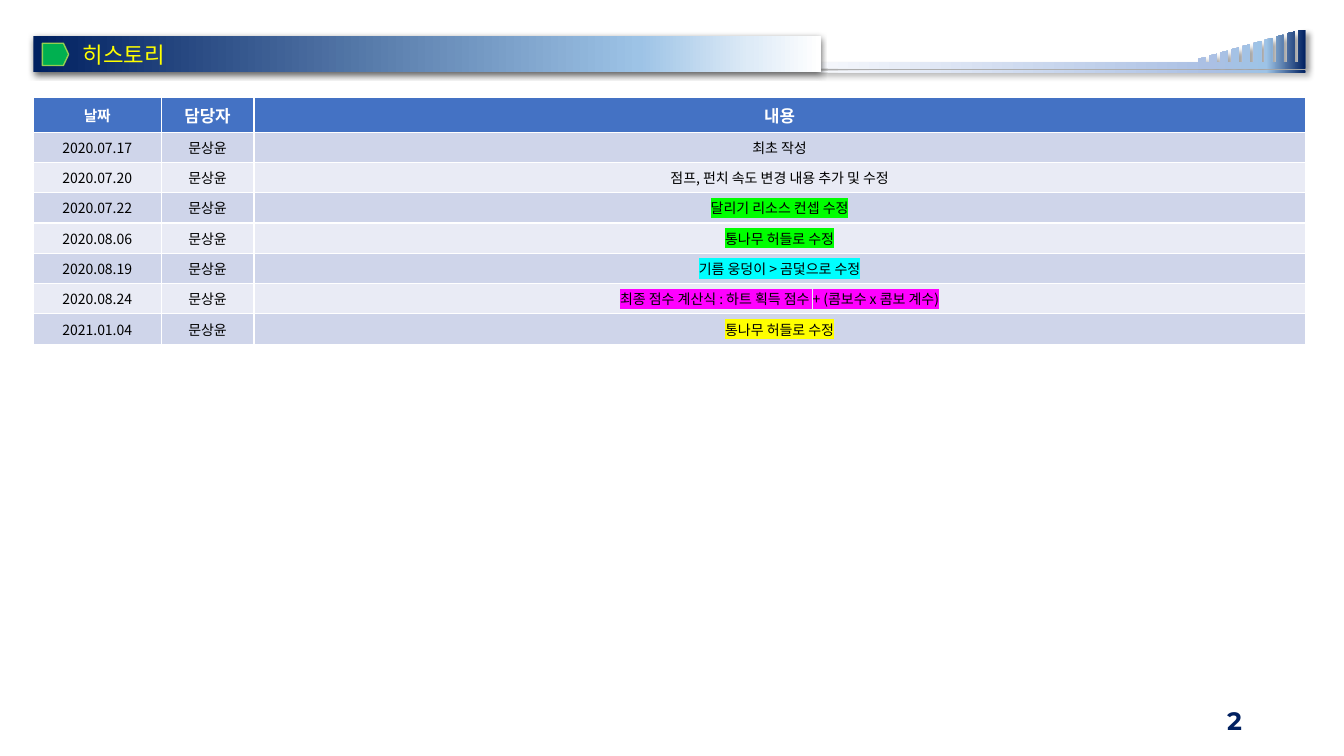
"""Build the history slide with its title banner and revision table."""
import pptx
import pptx.dml.color
import pptx.enum.shapes
import pptx.enum.text
import pptx.oxml
import pptx.oxml.ns
import pptx.util

Cm = pptx.util.Cm
qn = pptx.oxml.ns.qn
MIDDLE = pptx.enum.text.MSO_ANCHOR.MIDDLE
ALIGN = pptx.enum.text.PP_ALIGN
KOREAN = "Noto Sans CJK KR"
AUTHOR = "문상윤"
HEADINGS = [("날짜", 10.5), ("담당자", 12), ("내용", 12)]
COLUMN_WIDTHS = [3.22, 2.34, 26.49]
HISTORY = [
    ("2020.07.17", "최초 작성", None),
    ("2020.07.20", "점프, 펀치 속도 변경 내용 추가 및 수정", None),
    ("2020.07.22", "달리기 리소스 컨셉 수정", "00FF00"),
    ("2020.08.06", "통나무 허들로 수정", "00FF00"),
    ("2020.08.19", "기름 웅덩이 > 곰덫으로 수정", "00FFFF"),
    ("2020.08.24", "최종 점수 계산식 : 하트 획득 점수 + (콤보수 x 콤보 계수)", "FF00FF"),
    ("2021.01.04", "통나무 허들로 수정", "FFFF00"),
]


def rgb(value):
    """Turn a hex string into a colour."""
    return pptx.dml.color.RGBColor.from_string(value)


def add_xml(parent, xml):
    """Append a DrawingML fragment to an element."""
    ns = pptx.oxml.ns.nsdecls("a")
    parent.append(pptx.oxml.parse_xml(xml.replace(" ", f" {ns} ", 1)))


def write(tf, text, size, color, align, font=KOREAN, bold=False, highlight=None):
    """Write one formatted paragraph into a text frame."""
    tf.text = text
    p = tf.paragraphs[0]
    p.alignment = align
    r = p.runs[0]
    r.font.size = pptx.util.Pt(size)
    r.font.bold = bold
    r.font.color.rgb = rgb(color)
    rpr = r.font._element
    if highlight:
        add_xml(rpr, f'<a:highlight ><a:srgbClr val="{highlight}"/></a:highlight>')
    r.font.name = font
    add_xml(rpr, f'<a:ea typeface="{font}"/>')


def paint_gradient(sp, stops):
    """Fill a shape with a left-to-right gradient and remove its line."""
    sp.fill.gradient()
    sp.fill.gradient_angle = 0
    gs_list = next(sp._element.spPr.iter(qn("a:gsLst")))
    for gs in list(gs_list):
        gs_list.remove(gs)
    for position, color in stops:
        add_xml(gs_list, f'<a:gs pos="{position * 1000}"><a:srgbClr val="{color}"/></a:gs>')
    sp.line.fill.background()


def add_shadow(sp, alpha, blur, distance, angle):
    """Give a shape a black outer shadow, with lengths in points."""
    sp.shadow.inherit = False
    effects = sp._element.spPr.find(qn("a:effectLst"))
    add_xml(effects, f'<a:outerShdw blurRad="{pptx.util.Pt(blur)}" '
                     f'dist="{pptx.util.Pt(distance)}" dir="{angle * 60000}" '
                     f'algn="ctr" rotWithShape="0"><a:srgbClr val="000000">'
                     f'<a:alpha val="{alpha * 1000}"/></a:srgbClr></a:outerShdw>')


def add_rising_bars(slide):
    """Draw the thin rule and the strip with ten rising bars."""
    left, right, base = 20.6, 32.9, 1.57
    rule = [(left, 1.78), (right, 1.78), (right, 1.83), (left, 1.83)]
    strip = [(left, base)]
    for i in range(10):
        x, top = 30.2 + 0.28 * i, 1.48 - 0.08 * i
        strip += [(x, base), (x, top), (x + 0.18, max(top - 0.04, 0.76)), (x + 0.18, base)]
    strip += [(right, 1.73), (left, 1.73)]
    rule, strip = [[(Cm(x), Cm(y)) for x, y in outline] for outline in (rule, strip)]
    builder = slide.shapes.build_freeform(*rule[0])
    builder.add_line_segments(rule[1:])
    builder.move_to(*strip[0])
    builder.add_line_segments(strip[1:])
    sp = builder.convert_to_shape()
    paint_gradient(sp, [(0, "F6F8FC"), (80, "ABC0E4"), (92, "9DC3E6"), (100, "002060")])
    add_shadow(sp, 40, 4, 3, 45)


def format_title(slide, text):
    """Turn the title placeholder into the gradient banner."""
    sp = slide.shapes.title
    sp.left, sp.top, sp.width, sp.height = Cm(0.84), Cm(0.91), Cm(19.84), Cm(0.91)
    paint_gradient(sp, [(0, "002060"), (77, "9DC3E6"), (91, "DEEBF7"), (100, "FFFFFF")])
    add_shadow(sp, 63, 4.5, 1.5, 90)
    tf = sp.text_frame
    tf.auto_size = pptx.enum.text.MSO_AUTO_SIZE.NONE
    tf.vertical_anchor = MIDDLE
    tf.margin_left = Cm(1.24)
    write(tf, text, 16, "FFFF00", ALIGN.LEFT)
    slide.shapes._spTree.append(sp._element)


def add_marker(slide):
    """Add the green pentagon that points at the title."""
    kind = pptx.enum.shapes.MSO_SHAPE.FLOWCHART_OFFPAGE_CONNECTOR
    sp = slide.shapes.add_shape(kind, Cm(1.12), Cm(1.04), Cm(0.56), Cm(0.66))
    sp.rotation = 270
    sp.shadow.inherit = False
    sp.fill.solid()
    sp.fill.fore_color.rgb = rgb("00B050")
    sp.line.color.rgb = rgb("92D050")
    sp.line.width = pptx.util.Pt(1)


def fill_cell(cell, fill, text, size, color, **style):
    """Fill a table cell and centre its text."""
    cell.fill.solid()
    cell.fill.fore_color.rgb = rgb(fill)
    cell.vertical_anchor = MIDDLE
    write(cell.text_frame, text, size, color, ALIGN.CENTER, **style)


def add_history_table(slide):
    """Add the table of revisions."""
    heights = [0.87] + [0.76] * len(HISTORY)
    frame = slide.shapes.add_table(len(heights), len(HEADINGS), Cm(0.84), Cm(2.46),
                                   Cm(sum(COLUMN_WIDTHS)), Cm(sum(heights)))
    table = frame.table
    for column, width in zip(table.columns, COLUMN_WIDTHS):
        column.width = Cm(width)
    for row, height in zip(table.rows, heights):
        row.height = Cm(height)
    for j, (heading, size) in enumerate(HEADINGS):
        fill_cell(table.cell(0, j), "4472C4", heading, size, "FFFFFF", bold=True)
    for i, (date, change, highlight) in enumerate(HISTORY, 1):
        fill = "CFD5EA" if i % 2 else "E9EBF5"
        for j, text in enumerate((date, AUTHOR, change)):
            fill_cell(table.cell(i, j), fill, text, 10, "000000",
                      highlight=highlight if j == 2 else None)
        cell = table.cell(i, 2)
        cell.margin_left = cell.margin_right = cell.margin_top = cell.margin_bottom = 0


def add_page_number(slide, number):
    """Add the page number at the bottom right."""
    tf = slide.shapes.add_textbox(Cm(23.93), Cm(17.65), Cm(7.62), Cm(1.02)).text_frame
    tf.word_wrap = True
    tf.vertical_anchor = MIDDLE
    write(tf, number, 18, "002060", ALIGN.RIGHT, font="Montserrat", bold=True)


def main():
    """Build and save the slide."""
    prs = pptx.Presentation()
    prs.slide_width, prs.slide_height = Cm(33.87), Cm(19.05)
    slide = prs.slides.add_slide(prs.slide_layouts[5])
    add_page_number(slide, "2")
    add_rising_bars(slide)
    format_title(slide, "히스토리")
    add_marker(slide)
    add_history_table(slide)
    prs.save("out.pptx")


if __name__ == "__main__":
    main()
